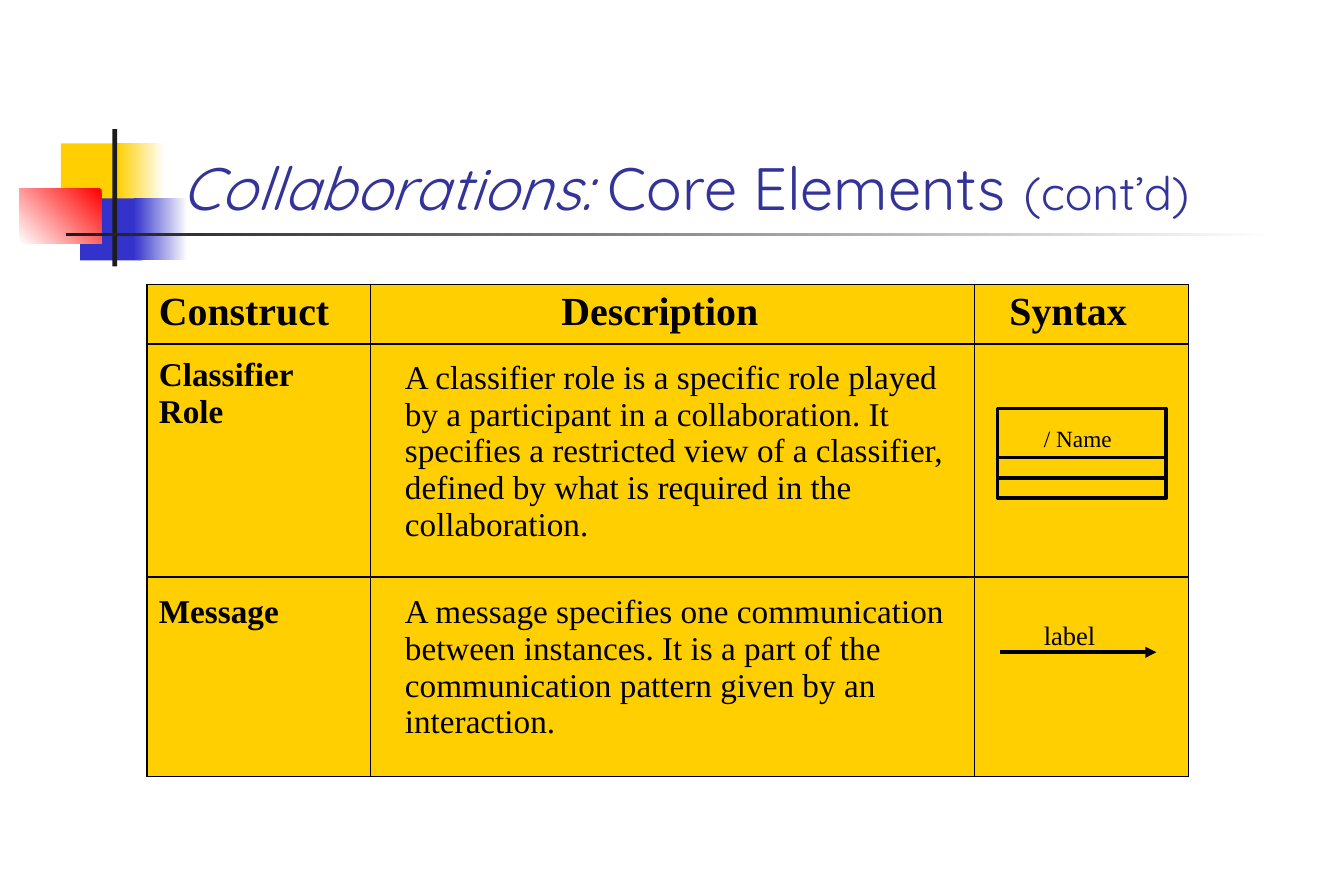
"""Build the slide on the core elements of collaborations."""
from lxml import etree
from pptx import Presentation
from pptx import util as u
from pptx.dml.color import RGBColor
from pptx.enum import shapes, text
from pptx.oxml import ns, parse_xml

PX = 9144
THEME = {
    "yellow": RGBColor.from_string("FFCF01"),
    "blue": RGBColor.from_string("3333CC"),
    "red": RGBColor.from_string("FF0000"),
    "white": RGBColor.from_string("FFFFFF"),
    "bar": RGBColor.from_string("1C1C1C"),
    "ink": RGBColor.from_string("000000"),
    "title": RGBColor.from_string("333399"),
    "title_font": "Quicksand",
    "body_font": "Times New Roman",
    "header_size": 24,
    "body_size": 20,
    "label_size": 16,
    "name_size": 14,
    "thin": 1,
    "thick": 2.25,
}


def style(paragraph, size, bold=False):
    paragraph.font.name = THEME["body_font"]
    paragraph.font.size = u.Pt(size)
    paragraph.font.bold = bold
    paragraph.font.color.rgb = THEME["ink"]


def draw_line(x1, y1, x2, y2):
    line = slide.shapes.add_connector(
        shapes.MSO_CONNECTOR.STRAIGHT, x1 * PX, y1 * PX, x2 * PX, y2 * PX)
    line.line.color.rgb = THEME["ink"]
    line.line.width = u.Pt(THEME["thick"])
    etree.SubElement(line.element.spPr, ns.qn("a:effectLst"))
    return line


prs = Presentation()
prs.slide_width, prs.slide_height = 1125 * PX, 750 * PX
slide = prs.slides.add_slide(prs.slide_layouts[5])

ornaments = [
    (51, 120, 54, 52, "yellow", None),
    (98, 120, 40, 52, "yellow", 0),
    (67, 166, 52, 52, "blue", None),
    (112, 166, 45, 52, "blue", 0),
    (16, 158, 69, 46, "red", 225),
    (94, 108, 4, 115, "bar", None),
    (55, 195, 1012, 3, "bar", 0),
]
for left, top, width, height, color, angle in ornaments:
    ornament = slide.shapes.add_shape(
        shapes.MSO_SHAPE.RECTANGLE, left * PX, top * PX, width * PX, height * PX)
    ornament.shadow.inherit = False
    ornament.line.fill.background()
    if angle is None:
        ornament.fill.solid()
        ornament.fill.fore_color.rgb = THEME[color]
    else:
        ornament.fill.gradient()
        ornament.fill.gradient_angle = angle
        start, end = ornament.fill.gradient_stops
        start.position, end.position = 0, 1
        start.color.rgb, end.color.rgb = THEME[color], THEME["white"]

title = slide.shapes.title
title.left, title.top, title.width, title.height = 142 * PX, 67 * PX, 959 * PX, 125 * PX
title.text_frame.vertical_anchor = text.MSO_ANCHOR.BOTTOM
title.text_frame.auto_size = text.MSO_AUTO_SIZE.NONE
heading = title.text_frame.paragraphs[0]
heading.alignment = text.PP_ALIGN.LEFT
heading.font.name = THEME["title_font"]
heading.font.color.rgb = THEME["title"]
for words, size, italic in [("Collaborations:", 36, True), (" Core Elements", 36, False),
                            (" ", 40, False), ("(cont’d)", 28, False)]:
    part = heading.add_run()
    part.text = words
    part.font.size = u.Pt(size)
    part.font.italic = italic
title.element.getparent().append(title.element)

constructs = [
    ("Construct", "Description", "Syntax"),
    ("Classifier Role",
     "A classifier role is a specific role played by a participant in a collaboration. "
     "It specifies a restricted view of a classifier, defined by what is required in "
     "the collaboration.", ""),
    ("Message",
     "A message specifies one communication between instances. It is a part of the "
     "communication pattern given by an interaction.", ""),
]
column_widths = [187, 506, 179]
row_heights = [50, 195, 167]
left_margins = [(10, 160, 29), (10, 29, 29), (10, 29, 29)]
top_margins = [(5, 5, 5), (11, 13, 13), (14, 14, 14)]

grid = slide.shapes.add_table(
    3, 3, 123 * PX, 238 * PX, sum(column_widths) * PX, sum(row_heights) * PX).table
grid.first_row = grid.horz_banding = False
for column, width in zip(grid.columns, column_widths):
    column.width = width * PX
for row, height in zip(grid.rows, row_heights):
    row.height = height * PX
for r, row_texts in enumerate(constructs):
    for c, words in enumerate(row_texts):
        cell = grid.cell(r, c)
        cell.text = words
        cell.margin_left = left_margins[r][c] * PX
        cell.margin_top = top_margins[r][c] * PX
        cell.margin_right, cell.margin_bottom = 8 * PX, 5 * PX
        style(cell.text_frame.paragraphs[0],
              THEME["body_size"] if r else THEME["header_size"], r == 0 or c == 0)
        for side in ("lnL", "lnR", "lnT", "lnB"):
            cell._tc.get_or_add_tcPr().append(parse_xml(
                f'<a:{side} {ns.nsdecls("a")} w="{u.Pt(THEME["thin"])}"><a:solidFill>'
                f'<a:srgbClr val="{THEME["ink"]}"/></a:solidFill></a:{side}>'))
        cell.fill.solid()
        cell.fill.fore_color.rgb = THEME["yellow"]

role_box = slide.shapes.add_shape(
    shapes.MSO_SHAPE.RECTANGLE, 835 * PX, 342 * PX, 141 * PX, 75 * PX)
role_box.shadow.inherit = False
role_box.fill.background()
role_box.line.color.rgb = THEME["ink"]
role_box.line.width = u.Pt(THEME["thick"])
for divider_y in (383, 400):
    draw_line(835, divider_y, 976, divider_y)

message_arrow = draw_line(837, 546, 968, 546)
etree.SubElement(message_arrow.line._get_or_add_ln(), ns.qn("a:tailEnd"), type="triangle")

for words, top, width, height, size in [("/ Name", 350, 77, 34, THEME["name_size"]),
                                        ("label", 513, 63, 37, THEME["label_size"])]:
    caption = slide.shapes.add_textbox(864 * PX, top * PX, width * PX, height * PX)
    caption.text_frame.word_wrap = False
    caption.text_frame.text = words
    style(caption.text_frame.paragraphs[0], size)

prs.save("out.pptx")
